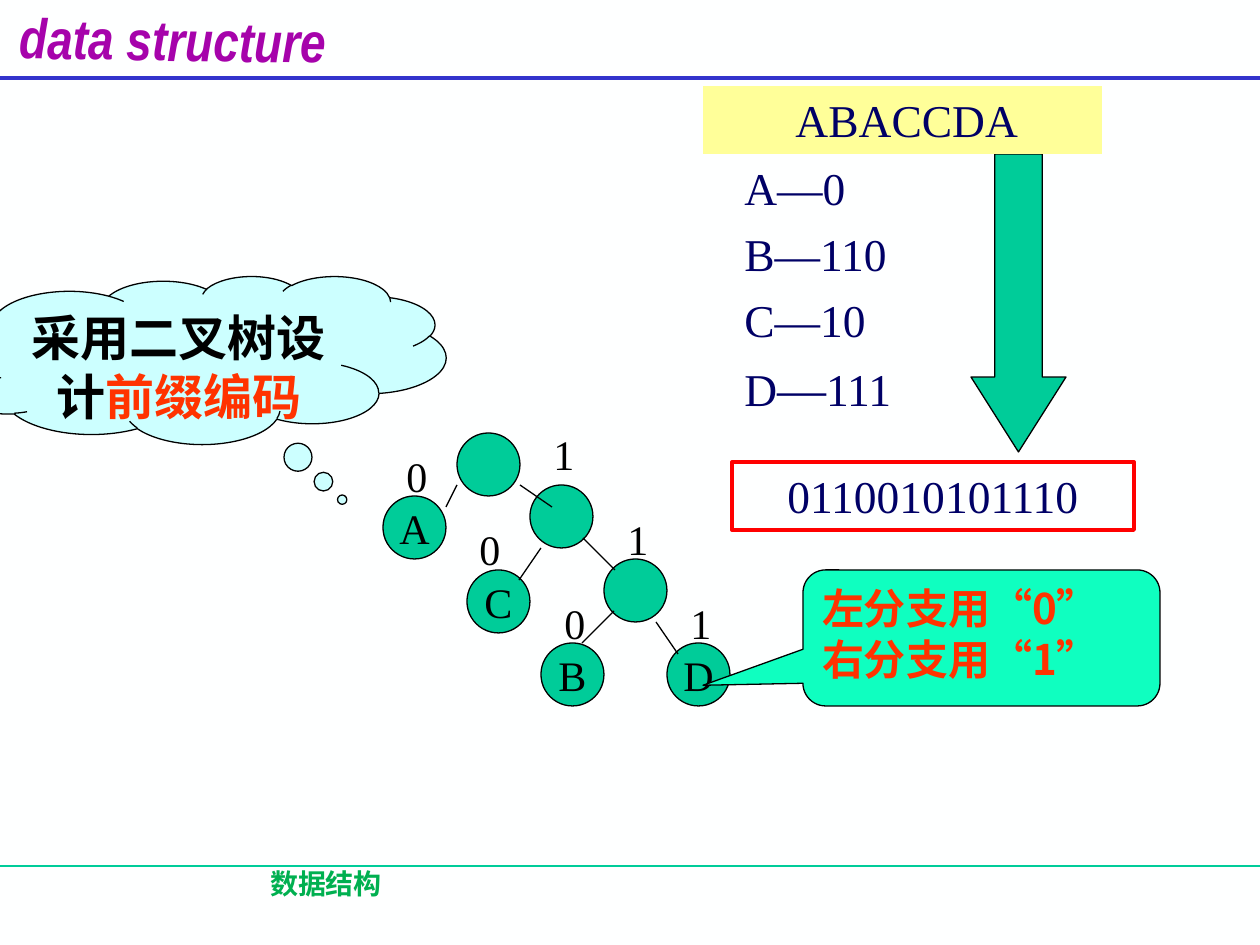
from typing import NamedTuple, Optional

from lxml.etree import SubElement
from pptx import Presentation
from pptx.dml.color import RGBColor
from pptx.enum.shapes import MSO_CONNECTOR, MSO_SHAPE
from pptx.enum.text import MSO_ANCHOR, PP_ALIGN
from pptx.oxml.ns import qn
from pptx.util import Pt

SCALE = 914400 / 126
SERIF = "Times New Roman"
CJK = "Noto Sans CJK SC"
GREEN, BLACK, NAVY, RED = "00CC99", "000000", "000066", "FF3300"
NODE = 63


class Box(NamedTuple):
    x: int
    y: int
    w: int
    h: int


class Run(NamedTuple):
    text: str
    fmt: dict


class Node(NamedTuple):
    x: int
    y: int
    name: str = ""


class Label(NamedTuple):
    x: int
    y: int
    bit: str


class Line(NamedTuple):
    x1: int
    y1: int
    x2: int
    y2: int
    color: str = BLACK
    width: float = 0.75


def px(n: int) -> int:
    return round(n * SCALE)


def rgb(color: str) -> RGBColor:
    return RGBColor.from_string(color)


def style(size: int, color: str, name: str = SERIF, **extra) -> dict:
    return {"size": Pt(size), "name": name, "color": color, **extra}


def add_text(sp, paragraphs: list[list[Run]], align=PP_ALIGN.LEFT,
             anchor=MSO_ANCHOR.TOP, wrap: bool = True, gap: float = 0) -> None:
    tf = sp.text_frame
    tf.word_wrap = wrap
    tf.vertical_anchor = anchor
    for i, runs in enumerate(paragraphs):
        p = tf.add_paragraph() if i else tf.paragraphs[0]
        p.alignment = align
        if i and gap:
            p.space_before = Pt(gap)
        for run in runs:
            r = p.add_run()
            r.text = run.text
            for key, value in run.fmt.items():
                if key == "color":
                    r.font.color.rgb = rgb(value)
                else:
                    setattr(r.font, key, value)
            SubElement(r.font._element, qn("a:ea")).set("typeface", CJK)


def add_box(s, box: Box, paragraphs: list[list[Run]], **layout):
    sp = s.shapes.add_textbox(*map(px, box))
    add_text(sp, paragraphs, **layout)
    return sp


def add_shape(s, kind, box: Box, fill: Optional[str] = None,
              line: Optional[str] = BLACK, width: float = 0.75, adj: tuple = ()):
    sp = s.shapes.add_shape(kind, *map(px, box))
    sp.shadow.inherit = False
    if fill:
        sp.fill.solid()
        sp.fill.fore_color.rgb = rgb(fill)
    else:
        sp.fill.background()
    if line:
        sp.line.color.rgb = rgb(line)
        sp.line.width = Pt(width)
    else:
        sp.line.fill.background()
    for i, value in enumerate(adj):
        sp.adjustments[i] = value
    return sp


def add_line(s, line: Line) -> None:
    cn = s.shapes.add_connector(MSO_CONNECTOR.STRAIGHT, *map(px, line[:4]))
    cn.line.color.rgb = rgb(line.color)
    cn.line.width = Pt(line.width)
    SubElement(cn._element.spPr, qn("a:effectLst"))


NODES = [Node(457, 433), Node(530, 485), Node(604, 559), Node(383, 496, "A"),
         Node(467, 570, "C"), Node(541, 643, "B"), Node(667, 643, "D")]
BRANCHES = [Line(457, 485, 446, 507), Line(520, 485, 552, 507),
            Line(541, 548, 519, 580), Line(614, 611, 582, 643),
            Line(656, 622, 678, 654), Line(583, 538, 615, 570)]
LABELS = [Label(394, 444, "0"), Label(467, 517, "0"), Label(552, 591, "0"),
          Label(541, 422, "1"), Label(615, 507, "1"), Label(678, 591, "1")]


def main() -> None:
    prs = Presentation()
    prs.slide_width, prs.slide_height = px(1260), px(945)
    s = prs.slides.add_slide(prs.slide_layouts[6])
    s.background.fill.solid()
    s.background.fill.fore_color.rgb = rgb("FEFFFF")

    add_line(s, Line(0, 866, 1260, 866, GREEN))
    add_line(s, Line(0, 78, 1260, 78, "3333CC", 2.25))
    title = style(32, "A603AB", "Arial Narrow", bold=True, italic=True)
    sp = add_box(s, Box(7, -1, 350, 68), [[Run("data structure", title)]])
    sp.rotation = 0.8
    footer = style(16, "00B050", CJK, bold=True)
    add_box(s, Box(65, 860, 522, 63), [[Run("数据结构", footer)]], align=PP_ALIGN.CENTER)

    tree = style(24, BLACK)
    for node in NODES:
        sp = add_shape(s, MSO_SHAPE.OVAL, Box(node.x, node.y, NODE, NODE), GREEN)
        if node.name:
            add_text(sp, [[Run(node.name, tree)]], align=PP_ALIGN.CENTER,
                     anchor=MSO_ANCHOR.MIDDLE, wrap=False)
    for branch in BRANCHES:
        add_line(s, branch)
    for label in LABELS:
        add_box(s, Box(label.x, label.y, 73, 63), [[Run(label.bit, tree)]])

    cloud = add_shape(s, MSO_SHAPE.CLOUD_CALLOUT, Box(-53, 276, 499, 168),
                      "CCFFFF", adj=(0.292, 0.831))
    add_text(cloud, [[Run("采用二叉树设计", style(28, BLACK, bold=True)),
                      Run("前缀编码", style(28, RED, bold=True))]], align=PP_ALIGN.CENTER)

    rule = style(24, RED, CJK, bold=True)
    callout = add_shape(s, MSO_SHAPE.ROUNDED_RECTANGULAR_CALLOUT, Box(803, 570, 357, 136),
                        "0FFFC0", adj=(-0.78, 0.348, 0.167))
    add_text(callout, [[Run("左分支用“0”", rule)], [Run("右分支用“1”", rule)]])

    code = style(26, NAVY)
    codes = [[Run(text, code)] for text in ("A—0", "B—110", "C—10")]
    codes.append([Run("D", code), Run("—", style(28, NAVY)), Run("111", code)])
    add_box(s, Box(732, 154, 192, 488), codes, gap=6.5)
    add_shape(s, MSO_SHAPE.DOWN_ARROW, Box(971, 154, 95, 298), GREEN, adj=(0.5, 0.789))
    encoded = add_shape(s, MSO_SHAPE.RECTANGLE, Box(732, 462, 402, 68),
                        line="FF0000", width=2.25)
    add_text(encoded, [[Run("0110010101110", code)]], align=PP_ALIGN.CENTER)
    message = add_shape(s, MSO_SHAPE.RECTANGLE, Box(703, 86, 399, 68), "FFFF99", line=None)
    add_text(message, [[Run(" ABACCDA", code)]], align=PP_ALIGN.CENTER)

    prs.save("out.pptx")


if __name__ == "__main__":
    main()
